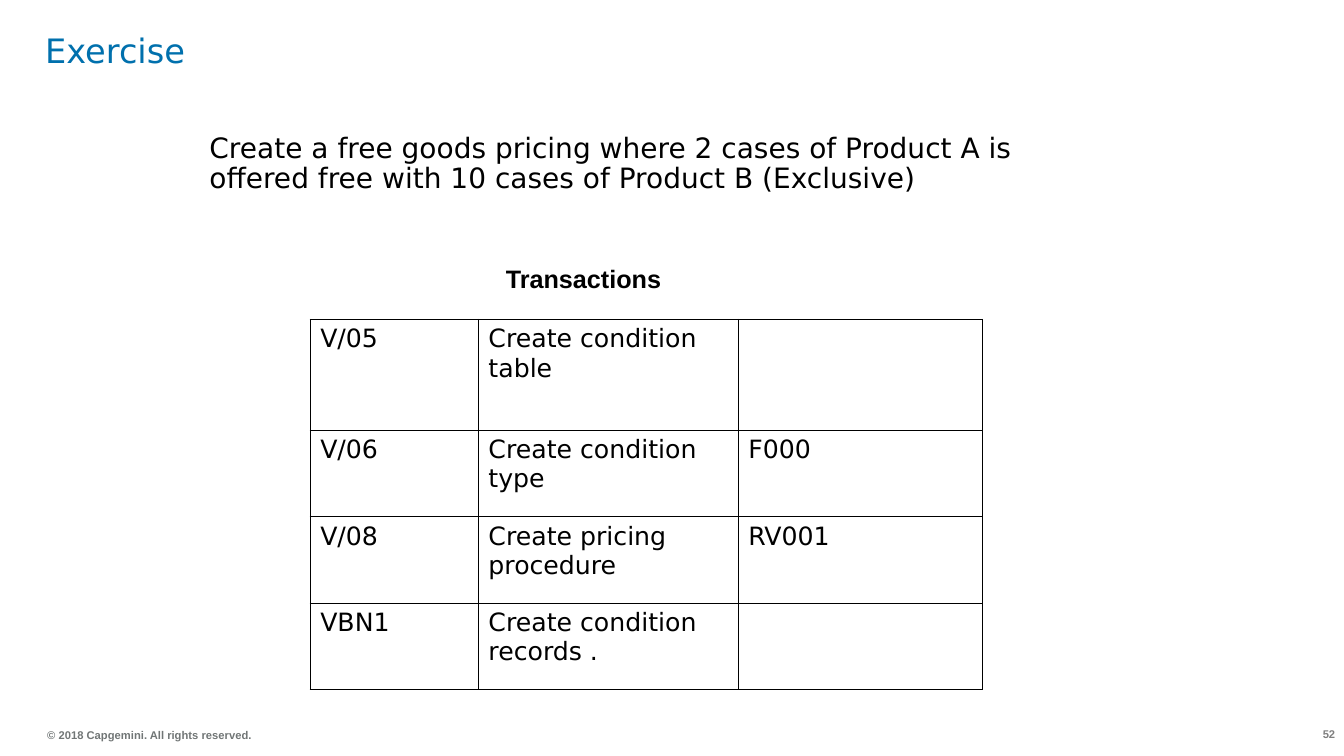
import pptx
import pptx.dml.color
import pptx.enum.text
import pptx.oxml
import pptx.oxml.ns
import pptx.util
from dataclasses import dataclass
from pptx.util import Cm, Pt

Align = pptx.enum.text.PP_ALIGN
Anchor = pptx.enum.text.MSO_ANCHOR


@dataclass(frozen=True)
class Style:
    size: int
    font: str
    color: str
    bold: bool = False


class Theme:
    title = Style(24, "DejaVu Sans", "0070AD")
    body = Style(20, "DejaVu Sans", "000000")
    cell = Style(18, "DejaVu Sans", "000000")
    heading = Style(18, "Arial", "000000", True)
    copyright = Style(8, "Arial", "717676", True)
    page = Style(8, "Arial", "7F7F7F", True)
    border = "000000"
    outer_width, inner_width = 1.08, 0.45  # points


# Content: text, style, box (left, top, width, height in cm), options
TEXTS = [
    ("52", Theme.page, (32.03, 18.21, 1.88, 0.61),
     dict(align=Align.RIGHT, padded=True)),
    ("© 2018 Capgemini. All rights reserved.", Theme.copyright,
     (1.19, 18.21, 6.17, 0.61), dict(anchor=Anchor.MIDDLE)),
    ("Exercise", Theme.title, (1.14, 0.71, 31.52, 2.39),
     dict(spacing=Pt(30))),
    ("Create a free goods pricing where 2 cases of Product A is offered free "
     "with 10 cases of Product B (Exclusive)", Theme.body,
     (5.28, 3.38, 21.67, 12.9), dict(spacing=0.9)),
    ("Transactions", Theme.heading, (10.8, 6.5, 7.82, 1.02),
     dict(align=Align.CENTER, padded=True)),
]
TRANSACTIONS = [
    ("V/05", "Create condition table", ""),
    ("V/06", "Create condition type", "F000"),
    ("V/08", "Create pricing procedure", "RV001"),
    ("VBN1", "Create condition records .", ""),
]
TABLE_LEFT, TABLE_TOP = 7.82, 8.05
COLUMN_WIDTHS = (4.24, 6.55, 6.15)
ROW_HEIGHTS = (2.79, 2.18, 2.18, 2.18)


def set_font(font, style):
    font.size, font.name, font.bold = Pt(style.size), style.font, style.bold
    font.color.rgb = pptx.dml.color.RGBColor.from_string(style.color)


def add_text(slide, text, style, box, align=Align.LEFT, anchor=Anchor.TOP,
             padded=False, spacing=None):
    frame = slide.shapes.add_textbox(*map(Cm, box)).text_frame
    frame.word_wrap = True
    frame.vertical_anchor = anchor
    if not padded:
        frame.margin_left = frame.margin_right = 0
        frame.margin_top = frame.margin_bottom = 0
    paragraph = frame.paragraphs[0]
    paragraph.alignment = align
    paragraph.line_spacing = spacing
    run = paragraph.add_run()
    run.text = text
    set_font(run.font, style)


def set_borders(cell, outer_edges):
    # Borders come before the fill in the cell properties
    properties = cell._tc.get_or_add_tcPr()
    for edge, is_outer in outer_edges.items():
        width = Theme.outer_width if is_outer else Theme.inner_width
        properties.append(pptx.oxml.parse_xml(
            f'<a:{edge} {pptx.oxml.ns.nsdecls("a")} w="{int(Pt(width))}">'
            f'<a:solidFill><a:srgbClr val="{Theme.border}"/></a:solidFill>'
            f'</a:{edge}>'))


def add_transactions(slide):
    last_row, last_column = len(ROW_HEIGHTS) - 1, len(COLUMN_WIDTHS) - 1
    table = slide.shapes.add_table(
        len(ROW_HEIGHTS), len(COLUMN_WIDTHS), Cm(TABLE_LEFT), Cm(TABLE_TOP),
        Cm(sum(COLUMN_WIDTHS)), Cm(sum(ROW_HEIGHTS))).table
    table.first_row = table.horz_banding = False
    for column, width in zip(table.columns, COLUMN_WIDTHS):
        column.width = Cm(width)
    for row, height in zip(table.rows, ROW_HEIGHTS):
        row.height = Cm(height)
    for i, values in enumerate(TRANSACTIONS):
        for j, value in enumerate(values):
            cell = table.cell(i, j)
            set_borders(cell, {"lnL": j == 0, "lnR": j == last_column,
                               "lnT": i == 0, "lnB": i == last_row})
            cell.fill.background()
            if value:
                run = cell.text_frame.paragraphs[0].add_run()
                run.text = value
                set_font(run.font, Theme.cell)


def main():
    presentation = pptx.Presentation()
    presentation.slide_width, presentation.slide_height = Cm(33.88), Cm(19.05)
    slide = presentation.slides.add_slide(presentation.slide_layouts[6])
    for text, style, box, options in TEXTS:
        add_text(slide, text, style, box, **options)
    add_transactions(slide)
    presentation.save("out.pptx")


if __name__ == "__main__":
    main()
